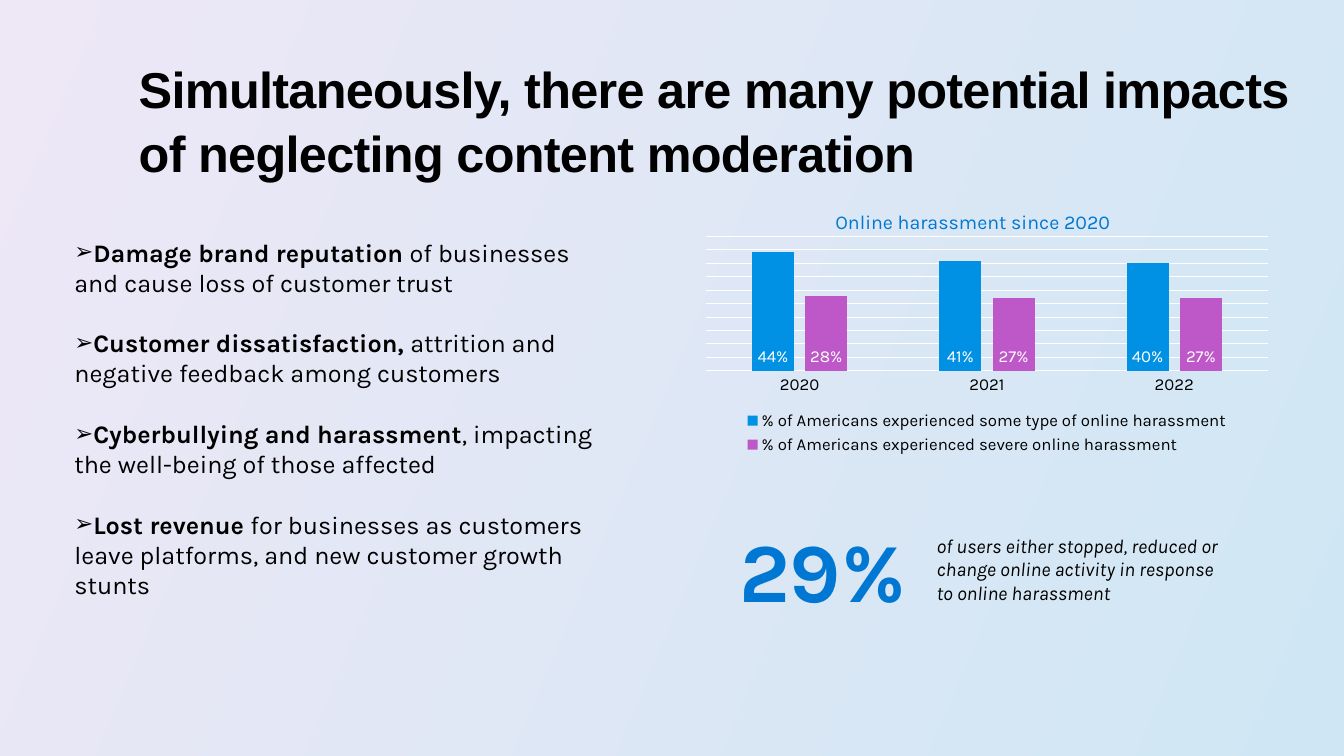
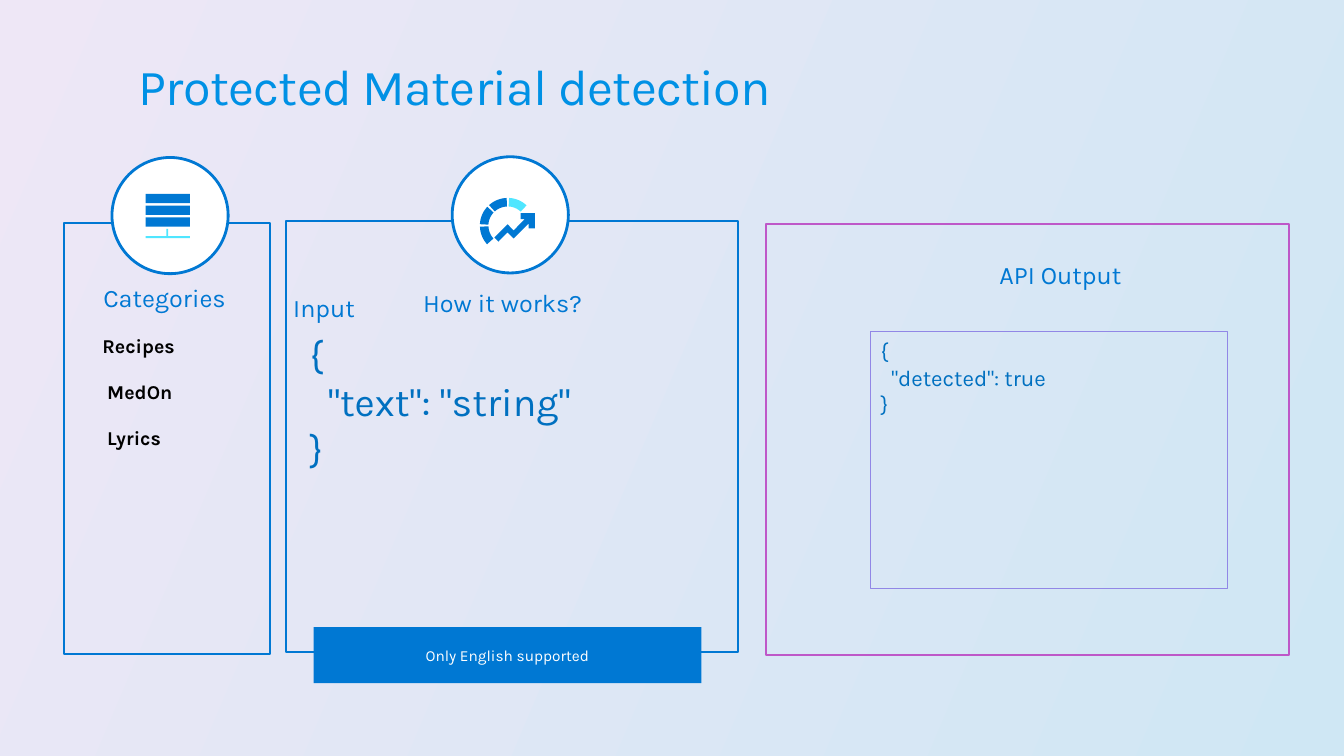
import math

import pptx
import pptx.chart.data
import pptx.dml.color
import pptx.enum.chart
import pptx.enum.shapes
import pptx.enum.text
import pptx.util
from lxml import etree
from pptx.oxml.ns import qn

Pt = pptx.util.Pt
RGB = pptx.dml.color.RGBColor
SHAPE = pptx.enum.shapes.MSO_SHAPE
ALIGN = pptx.enum.text.PP_ALIGN
ANCHOR = pptx.enum.text.MSO_ANCHOR

BLACK = RGB(0x00, 0x00, 0x00)
WHITE = RGB(0xFF, 0xFF, 0xFF)
BLUE = RGB(0x00, 0x78, 0xD3)
BRIGHT_BLUE = RGB(0x00, 0x91, 0xE5)
CODE_BLUE = RGB(0x00, 0x70, 0xC0)
CYAN = RGB(0x50, 0xE6, 0xFF)
PURPLE = RGB(0xBE, 0x58, 0xC8)
LAVENDER = RGB(0x91, 0x87, 0xE6)
BACK_START = RGB(0xEE, 0xE7, 0xF6)
BACK_END = RGB(0xCF, 0xE7, 0xF4)
FONT = "Karla"


def add_bullet(para, symbol):
    props = para._p.get_or_add_pPr()
    props.set("marL", "0")
    props.set("indent", "0")
    etree.SubElement(props, qn("a:buSzPct")).set("val", "90000")
    etree.SubElement(props, qn("a:buFont")).set("typeface", "Arial")
    etree.SubElement(props, qn("a:buChar")).set("char", symbol)


def write_text(frame, paragraphs, size=18, color=BLACK, font=FONT, bold=False,
               italic=False, align=ALIGN.LEFT, anchor=ANCHOR.TOP, margins=(7.2, 3.6),
               gap=0, line=None, tracking=0, bullet=None, indents=()):
    """Fill a frame; a paragraph is a string or a list of (text, bold) spans."""
    frame.word_wrap = True
    frame.vertical_anchor = anchor
    frame.margin_left = frame.margin_right = Pt(margins[0])
    frame.margin_top = frame.margin_bottom = Pt(margins[1])
    for index, content in enumerate(paragraphs):
        para = frame.paragraphs[0] if index == 0 else frame.add_paragraph()
        para.alignment = align
        if line:
            para.line_spacing = line
        if index and gap:
            para.space_before = Pt(gap)
        if bullet:
            add_bullet(para, bullet)
        if indents:
            para._p.get_or_add_pPr().set("marL", str(Pt(indents[index])))
        spans = [(content, bold)] if isinstance(content, str) else content
        for text, is_bold in spans:
            span = para.add_run()
            span.text = text
            span.font.name = font
            span.font.size = Pt(size)
            span.font.bold = is_bold
            span.font.italic = italic
            span.font.color.rgb = color
            if tracking:
                span._r.get_or_add_rPr().set("spc", str(round(tracking * 100)))


def add_text(page, left, top, width, height, paragraphs, **style):
    box = page.shapes.add_textbox(Pt(left), Pt(top), Pt(width), Pt(height))
    write_text(box.text_frame, paragraphs, **style)


def paint(shape, fill=None, line=None, weight=1.5):
    shape.shadow.inherit = False
    if fill is None:
        shape.fill.background()
    else:
        shape.fill.solid()
        shape.fill.fore_color.rgb = fill
    if line is None:
        shape.line.fill.background()
    else:
        shape.line.color.rgb = line
        shape.line.width = Pt(weight)


def add_shape(page, kind, left, top, width, height, **look):
    shape = page.shapes.add_shape(kind, Pt(left), Pt(top), Pt(width), Pt(height))
    paint(shape, **look)
    return shape


def add_outline(page, left, top, points, fill):
    corners = [(Pt(left + x), Pt(top + y)) for x, y in points]
    builder = page.shapes.build_freeform(*corners[0], scale=1.0)
    builder.add_line_segments(corners[1:], close=True)
    paint(builder.convert_to_shape(), fill=fill)


def add_page(deck, title, **style):
    """Add a page with the shared gradient and title."""
    page = deck.slides.add_slide(deck.slide_layouts[6])
    fill = page.background.fill
    fill.gradient()
    fill.gradient_angle = 360 - 23
    for stop, color in zip(fill.gradient_stops, (BACK_START, BACK_END)):
        stop.color.rgb = color
    add_text(page, 92, 36, 868, 66, [title], size=36, tracking=-0.5, **style)
    return page


def style_font(font, size, color):
    font.name = FONT
    font.size = Pt(size)
    font.color.rgb = color


def white_line(line):
    line.color.rgb = WHITE
    line.width = Pt(0.75)


def add_harassment_chart(page, left, top, width, height):
    add_text(page, left - 45, top - 19.5, 488, 24, ["Online harassment since 2020"],
             size=14, color=BLUE, align=ALIGN.CENTER)
    data = pptx.chart.data.CategoryChartData()
    data.categories = ["2020", "2021", "2022"]
    data.add_series("% of Americans experienced some type of online harassment", (44, 41, 40))
    data.add_series("% of Americans experienced severe online harassment", (28, 27, 27))
    chart = page.shapes.add_chart(
        pptx.enum.chart.XL_CHART_TYPE.COLUMN_CLUSTERED,
        Pt(left), Pt(top), Pt(width), Pt(height), data).chart
    chart.has_title = False
    style_font(chart.font, 10, WHITE)
    chart.has_legend = True
    chart.legend.position = pptx.enum.chart.XL_LEGEND_POSITION.BOTTOM
    chart.legend.include_in_layout = False
    style_font(chart.legend.font, 12, BLACK)

    no_ticks = pptx.enum.chart.XL_TICK_MARK.NONE
    years, shares = chart.category_axis, chart.value_axis
    years.major_tick_mark = shares.major_tick_mark = no_ticks
    style_font(years.tick_labels.font, 12, BLACK)
    white_line(years.format.line)
    shares.minimum_scale, shares.maximum_scale, shares.major_unit = 0, 50, 5
    shares.tick_label_position = pptx.enum.chart.XL_TICK_LABEL_POSITION.NONE
    shares.format.line.fill.background()
    white_line(shares.major_gridlines.format.line)

    plot = chart.plots[0]
    plot.vary_by_categories = False
    plot.gap_width, plot.overlap = 219, -27
    for series, color in zip(plot.series, (BRIGHT_BLUE, PURPLE)):
        series.format.fill.solid()
        series.format.fill.fore_color.rgb = color
        labels = series.data_labels
        labels.show_value = True
        labels.number_format = "General\\%"
        labels.number_format_is_linked = False
        labels.position = pptx.enum.chart.XL_LABEL_POSITION.INSIDE_BASE
        style_font(labels.font, 12, WHITE)


def add_key_figure(page, left, top):
    add_text(page, left, top, 130, 73, ["29%"], size=60, color=BLUE, bold=True,
             margins=(0, 0))
    add_text(page, left + 141, top + 11, 202, 51,
             ["of users either stopped, reduced or change online activity "
              "in response to online harassment"],
             size=14, italic=True, margins=(0, 0))


def add_impacts_page(deck):
    page = add_page(
        deck, "Simultaneously, there are many potential impacts of neglecting content moderation",
        font="Arial", bold=True, line=1.05)
    impacts = [
        ("Damage brand reputation ", "of businesses and cause loss of customer trust"),
        ("Customer dissatisfaction, ", "attrition and negative feedback among customers"),
        ("Cyberbullying and harassment", ", impacting the well-being of those affected"),
        ("Lost revenue ", "for businesses as customers leave platforms, "
                          "and new customer growth stunts"),
    ]
    add_text(page, 46, 165.6, 386, 270,
             [[(lead, True), (rest, False)] for lead, rest in impacts],
             gap=21.6, bullet="➢")
    add_harassment_chart(page, 496, 165.6, 418, 162)
    add_key_figure(page, 528, 370)


def add_heading(page, left, top, width, text):
    add_text(page, left, top, width, 29, [text], color=BLUE, align=ALIGN.CENTER)


def add_badge(page, left, top):
    add_shape(page, SHAPE.OVAL, left, top, 83, 83, fill=WHITE, line=BLUE, weight=2)


def add_server_icon(page, left, top):
    bars = [(24, 26 + 8.4 * row, 31.7, 6.6, BLUE) for row in range(3)]
    bars += [(24, 56.2, 31.7, 1.4, CYAN), (38.8, 51, 1.4, 5.2, CYAN)]
    for x, y, width, height, color in bars:
        add_shape(page, SHAPE.RECTANGLE, left + x, top + y, width, height, fill=color)


def add_gauge_icon(page, left, top):
    center_x, center_y, outer, inner = 39.6, 49.2, 19.8, 13.7
    for index, color in enumerate((BLUE, BLUE, BLUE, CYAN)):
        start = 138 + 45 * index
        angles = [math.radians(start + step) for step in range(0, 41, 5)]
        rim = [(outer, angle) for angle in angles]
        rim += [(inner, angle) for angle in reversed(angles)]
        add_outline(page, left, top,
                    [(center_x + radius * math.cos(angle), center_y + radius * math.sin(angle))
                     for radius, angle in rim], color)
    arrow = [(54.7, 47.5), (54.7, 51.1), (59, 51.1), (59, 40.3), (49, 40.3), (49, 44.6),
             (51.8, 44.6), (43.9, 52.6), (39.6, 48.2), (30.2, 57.6), (33.1, 60.5),
             (39.6, 54), (43.9, 58.3)]
    add_outline(page, left, top, arrow, BLUE)


def add_categories_panel(page, left, top, width, height):
    add_shape(page, SHAPE.RECTANGLE, left, top, width, height, line=BLUE)
    add_badge(page, left + 34, top - 46.5)
    add_server_icon(page, left + 34, top - 46.5)
    add_heading(page, left, top + 39, 143, "Categories")
    add_text(page, left + 20, top + 76, 113, 124, ["Recipes", "MedOn", "Lyrics"],
             size=14, bold=True, gap=16, indents=(0, 3.5, 3.5))


def add_input_panel(page, left, top, width, height):
    add_shape(page, SHAPE.RECTANGLE, left, top, width, height, line=BLUE)
    add_badge(page, left + 119, top - 46)
    add_gauge_icon(page, left + 119, top - 46)
    add_heading(page, left + 63, top + 43.5, 184, "How it works?")
    add_heading(page, left - 127.5, top + 47.5, 310, "Input")
    add_text(page, left + 10, top + 74.5, 303, 109, ["{", '  "text": "string"', "}"],
             size=28, color=CODE_BLUE)
    banner = add_shape(page, SHAPE.RECTANGLE, left + 20, top + 290, 277, 40, fill=BLUE)
    write_text(banner.text_frame, ["Only English supported"], size=11, color=WHITE,
               align=ALIGN.CENTER, anchor=ANCHOR.MIDDLE)


def add_output_panel(page, left, top, width, height):
    add_shape(page, SHAPE.RECTANGLE, left, top, width, height, line=PURPLE)
    add_heading(page, left + 55.5, top + 22, 310, "API Output")
    code = add_shape(page, SHAPE.RECTANGLE, left + 75, top + 77, 255, 183.5,
                     line=LAVENDER, weight=0.75)
    write_text(code.text_frame, ["{", '  "detected": true', "}"], size=16, color=CODE_BLUE)


def add_detection_page(deck):
    page = add_page(deck, "Protected Material detection", color=BRIGHT_BLUE)
    add_categories_panel(page, 46, 159, 147, 308)
    add_input_panel(page, 204, 158, 323, 308)
    add_output_panel(page, 547, 160, 374, 308)


def main():
    deck = pptx.Presentation()
    deck.slide_width, deck.slide_height = Pt(960), Pt(540)
    add_impacts_page(deck)
    add_detection_page(deck)
    deck.save("out.pptx")


if __name__ == "__main__":
    main()
